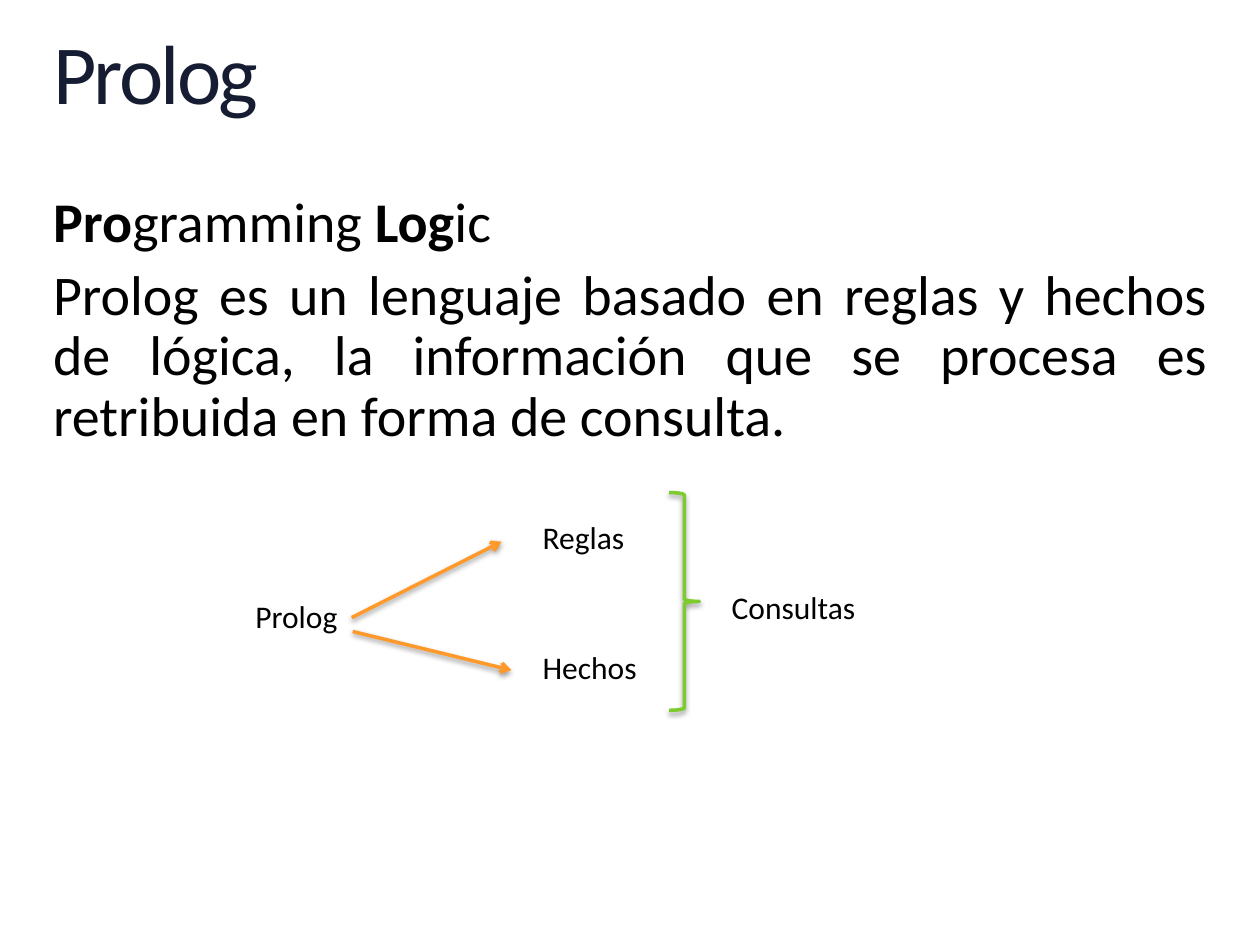
from pptx import Presentation
from pptx import util as u
from pptx.dml.color import RGBColor
from pptx.enum import shapes, text
from pptx.oxml import parse_xml
from pptx.oxml.ns import nsdecls

NAVY, BLACK, ORANGE, GREEN = "161D32", "000000", "FF9929", "7DCC2E"


def color(hex_string):
    """Turn a hex string into a colour."""
    return RGBColor.from_string(hex_string)


def cm(*lengths):
    """Turn numbers into lengths in centimetres."""
    return [u.Cm(length) for length in lengths]


class Board:
    """Holds the style and the current slide."""

    font = "Calibri"
    line_width = u.Pt(2)

    def __init__(self, deck):
        """Start a blank slide."""
        self.slide = deck.slides.add_slide(deck.slide_layouts[6])

    def text_frame(self, box, margin=None):
        """Add a wrapping text box and return its frame."""
        frame = self.slide.shapes.add_textbox(*cm(*box)).text_frame
        frame.word_wrap = True
        if margin is not None:
            frame.margin_left = frame.margin_right = margin
            frame.margin_top = frame.margin_bottom = margin
        return frame

    def add_runs(self, paragraph, parts, size, hex_string=BLACK):
        """Fill a paragraph with (text, bold) parts."""
        for words, bold in parts:
            run = paragraph.add_run()
            run.text = words
            run.font.name, run.font.size, run.font.bold = self.font, u.Pt(size), bold
            run.font.color.rgb = color(hex_string)

    def title(self, words, box):
        """Add the tightly spaced heading."""
        paragraph = self.text_frame(box, 0).paragraphs[0]
        paragraph.line_spacing = 0.9
        self.add_runs(paragraph, [(words, False)], 48, NAVY)
        paragraph.runs[0].font._element.set("spc", "-150")

    def body(self, paragraphs, box):
        """Add paragraphs given as (parts, alignment)."""
        frame = self.text_frame(box, 0)
        for index, (parts, alignment) in enumerate(paragraphs):
            paragraph = frame.add_paragraph() if index else frame.paragraphs[0]
            paragraph.alignment = alignment
            paragraph.line_spacing = 0.9
            paragraph.space_before = u.Pt(7)
            self.add_runs(paragraph, parts, 32)

    def label(self, words, left, top, width):
        """Add a one-line diagram label."""
        frame = self.text_frame((left, top, width, 1.02))
        frame.word_wrap = False
        frame.auto_size = text.MSO_AUTO_SIZE.SHAPE_TO_FIT_TEXT
        self.add_runs(frame.paragraphs[0], [(words, False)], 18)

    def stroke(self, shape, hex_string):
        """Give a shape its line and a soft shadow below."""
        shape.line.color.rgb = color(hex_string)
        shape.line.width = self.line_width
        shape._element.spPr.append(parse_xml(
            f'<a:effectLst {nsdecls("a")}>'
            '<a:outerShdw blurRad="40000" dist="20000" dir="5400000" rotWithShape="0">'
            '<a:srgbClr val="000000"><a:alpha val="38000"/></a:srgbClr>'
            '</a:outerShdw></a:effectLst>'))

    def arrow(self, start, end):
        """Add an arrow from start to end."""
        link = self.slide.shapes.add_connector(
            shapes.MSO_CONNECTOR.STRAIGHT, *cm(*start, *end))
        self.stroke(link, ORANGE)
        link.line._get_or_add_ln().append(
            parse_xml(f'<a:tailEnd {nsdecls("a")} type="arrow"/>'))

    def brace(self, box):
        """Add a right brace."""
        brace = self.slide.shapes.add_shape(shapes.MSO_SHAPE.RIGHT_BRACE, *cm(*box))
        brace.fill.background()
        self.stroke(brace, GREEN)


deck = Presentation()
deck.slide_width, deck.slide_height = cm(25.4, 19.05)
board = Board(deck)

board.title("Prolog", (1.07, 0.64, 23.29, 1.85))
name_origin = [("Pro", True), ("gramming ", False), ("Log", True), ("ic", False)]
definition = [("Prolog es un lenguaje basado en reglas y hechos de lógica, la "
               "información que se procesa es retribuida en forma de consulta.", False)]
board.body([(name_origin, text.PP_ALIGN.LEFT), (definition, text.PP_ALIGN.JUSTIFY)],
           (1.07, 3.91, 23.29, 6.71))

for words, left, top, width in [
    ("Prolog", 4.9, 11.91, 2.18),
    ("Reglas", 10.69, 10.31, 2.18),
    ("Hechos", 10.69, 12.93, 2.44),
    ("Consultas", 14.5, 11.73, 3.02),
]:
    board.label(words, left, top, width)

board.arrow((7.09, 12.45), (10.11, 10.92))
board.arrow((7.11, 12.73), (10.31, 13.51))
board.brace((13.49, 9.93, 0.61, 4.39))

deck.save("out.pptx")
